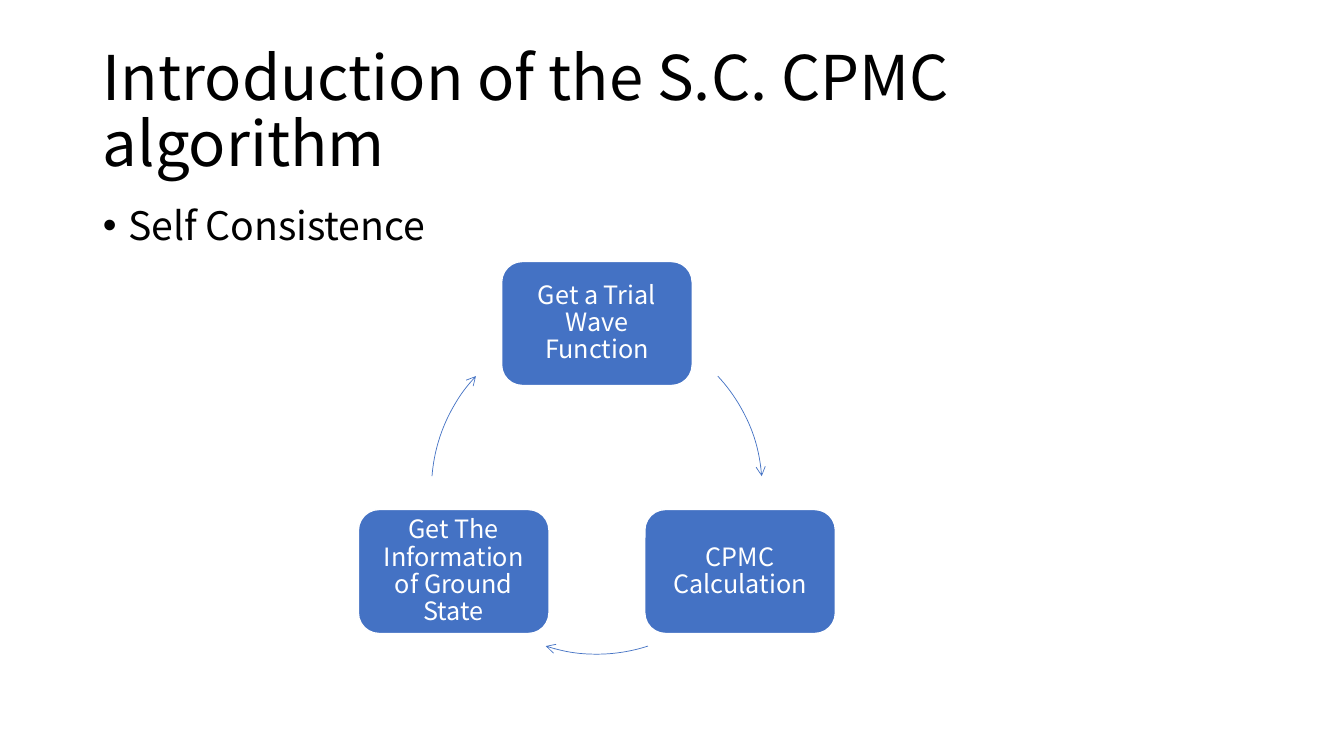
from math import cos, radians, sin

from lxml.etree import SubElement
from pptx import Presentation
from pptx.dml.color import RGBColor
from pptx.enum.shapes import MSO_SHAPE as Shape
from pptx.enum.text import MSO_ANCHOR as Anchor, MSO_AUTO_SIZE as AutoSize, PP_ALIGN as Align
from pptx.oxml.ns import qn
from pptx.util import Inches, Pt

COLORS = {"text": "000000", "step": "4472C4", "white": "FFFFFF"}
FONT = "Noto Sans CJK SC"
CENTER_X, CENTER_Y, RADIUS = 5.92, 4.85, 1.64
STEP_WIDTH, STEP_HEIGHT = 1.89, 1.23
STEPS = [
    ("Get a Trial Wave Function", -90),
    ("CPMC Calculation", 30),
    ("Get The Information of Ground State", 150),
]
ARROWS = [(-43, -4.4), (72, 108), (184.4, 223)]


def color(name):
    """Return the named colour."""
    return RGBColor.from_string(COLORS[name])


def place(shape, left, top, width, height):
    """Move and size a placeholder."""
    shape.left, shape.top = Inches(left), Inches(top)
    shape.width, shape.height = Inches(width), Inches(height)


def write(shape, text, size, color_name, align, anchor):
    """Fill a shape with one formatted paragraph and return it."""
    frame = shape.text_frame
    frame.word_wrap = True
    frame.auto_size = AutoSize.NONE
    frame.vertical_anchor = anchor
    para = frame.paragraphs[0]
    para.alignment = align
    para.line_spacing = 0.9
    span = para.add_run()
    span.text = text
    span.font.name = FONT
    span.font.size = Pt(size)
    span.font.color.rgb = color(color_name)
    return para


def add_bullet(para):
    """Give a paragraph a round bullet with a hanging indent."""
    properties = para._p.get_or_add_pPr()
    properties.set("marL", str(Inches(0.25)))
    properties.set("indent", str(-Inches(0.25)))
    SubElement(properties, qn("a:buFont"), typeface="Arial")
    SubElement(properties, qn("a:buChar"), char="•")


def add_step(page, text, angle):
    """Add a rounded step box at an angle on the cycle."""
    left = CENTER_X + RADIUS * cos(radians(angle)) - STEP_WIDTH / 2
    top = CENTER_Y + RADIUS * sin(radians(angle)) - STEP_HEIGHT / 2
    box = page.shapes.add_shape(
        Shape.ROUNDED_RECTANGLE, Inches(left), Inches(top), Inches(STEP_WIDTH), Inches(STEP_HEIGHT)
    )
    box.shadow.inherit = False
    box.fill.solid()
    box.fill.fore_color.rgb = color("step")
    box.line.color.rgb = color("white")
    box.line.width = Pt(1)
    frame = box.text_frame
    frame.margin_left = frame.margin_right = Inches(0.07)
    frame.margin_top = frame.margin_bottom = Inches(0.07)
    write(box, text, 18, "white", Align.CENTER, Anchor.MIDDLE)


def add_arrow(page, start, end):
    """Add a clockwise arc with an arrowhead between two angles."""
    arc = page.shapes.add_shape(
        Shape.ARC,
        Inches(CENTER_X - RADIUS),
        Inches(CENTER_Y - RADIUS),
        Inches(2 * RADIUS),
        Inches(2 * RADIUS),
    )
    arc.shadow.inherit = False
    arc.fill.background()
    for index, angle in enumerate((start, end)):
        arc.adjustments[index] = angle % 360 * 0.6
    arc.line.color.rgb = color("step")
    arc.line.width = Pt(0.5)
    SubElement(arc.line._get_or_add_ln(), qn("a:tailEnd"), type="arrow")


def main():
    """Build and save the slide."""
    deck = Presentation()
    deck.slide_width, deck.slide_height = Inches(13.33), Inches(7.5)
    page = deck.slides.add_slide(deck.slide_layouts[1])
    title, body = page.shapes.title, page.placeholders[1]
    place(title, 0.92, 0.4, 11.5, 1.45)
    write(title, "Introduction of the S.C. CPMC algorithm", 44, "text", Align.LEFT, Anchor.MIDDLE)
    place(body, 0.92, 2, 11.5, 4.76)
    para = write(body, "Self Consistence", 28, "text", Align.LEFT, Anchor.TOP)
    para.space_before = Pt(10)
    add_bullet(para)
    for (text, angle), (start, end) in zip(STEPS, ARROWS):
        add_step(page, text, angle)
        add_arrow(page, start, end)
    deck.save("out.pptx")


if __name__ == "__main__":
    main()
